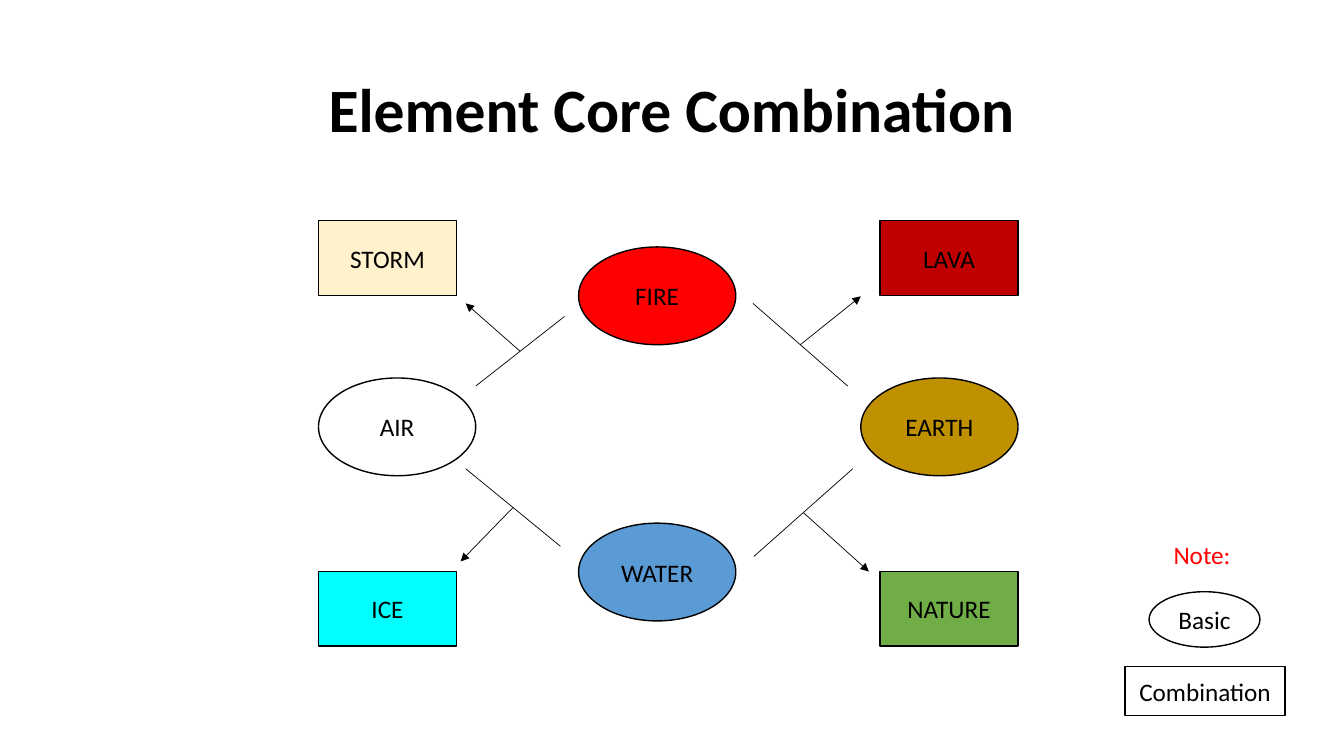
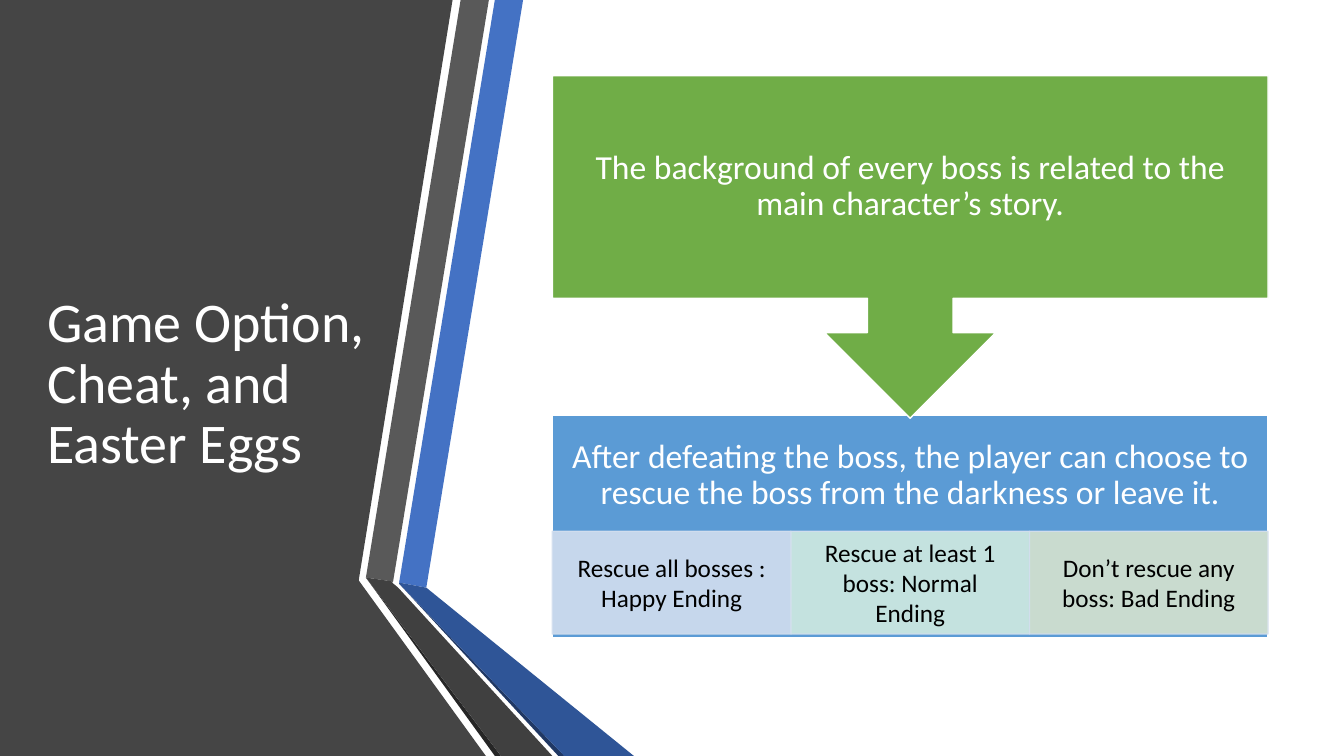
from dataclasses import dataclass
from typing import NamedTuple

from lxml import etree
from pptx import Presentation
from pptx import util as u
from pptx.dml.color import RGBColor
from pptx.enum import shapes, text
from pptx.oxml.ns import qn
from pptx.shapes.autoshape import Shape
from pptx.slide import Slide

# The slide is a grid of square cells, 80 columns by 45 rows.
COLUMNS, ROWS = 80, 45
CELL = u.Inches(7.5) / ROWS

ELLIPSE = shapes.MSO_SHAPE.OVAL
RECTANGLE = shapes.MSO_SHAPE.RECTANGLE
CALLOUT = shapes.MSO_SHAPE.DOWN_ARROW_CALLOUT


@dataclass(frozen=True)
class Theme:
    font: str = "Calibri"
    black: str = "000000"
    white: str = "FFFFFF"
    red: str = "FF0000"
    blue: str = "5B9BD5"
    green: str = "70AD47"
    charcoal: str = "454545"
    pale_blue: str = "D2DEEF"
    pale_teal: str = "D0EAE1"
    pale_green: str = "D5E3CF"
    diagram_title: float = 44
    side_title: float = 40
    statement: float = 24
    label: float = 18
    outline: float = 1
    thin_line: float = 0.5
    tight: float = 0.9


THEME = Theme()


class Point(NamedTuple):
    column: float
    row: float


class Box(NamedTuple):
    column: float
    row: float
    columns: float
    rows: float


class TextStyle(NamedTuple):
    size: float
    color: str = THEME.black
    bold: bool = False
    align: text.PP_ALIGN = text.PP_ALIGN.CENTER
    anchor: text.MSO_ANCHOR = text.MSO_ANCHOR.MIDDLE
    spacing: float = 1.0
    insets: tuple[float, float, float, float] = (0.1, 0.05, 0.1, 0.05)


class Node(NamedTuple):
    label: str
    kind: shapes.MSO_SHAPE
    box: Box
    fill: str = THEME.white


class Link(NamedTuple):
    """A line between two basic elements, and the tip of the arrow from its middle."""
    start: Point
    end: Point
    tip: Point


class Facet(NamedTuple):
    color: str
    corners: tuple[tuple[float, float], ...]


class Ending(NamedTuple):
    label: str
    fill: str


LABEL = TextStyle(THEME.label)
DIAGRAM_TITLE = TextStyle(THEME.diagram_title, bold=True, spacing=THEME.tight)
SIDE_TITLE = TextStyle(THEME.side_title, THEME.white, align=text.PP_ALIGN.LEFT,
                       spacing=THEME.tight)
NOTE = TextStyle(THEME.label, THEME.red, anchor=text.MSO_ANCHOR.TOP)
STATEMENT = TextStyle(THEME.statement, THEME.white, spacing=THEME.tight,
                      insets=(0.19, 0.19, 0.19, 0.19))
ENDING = TextStyle(THEME.label, insets=(0.14, 0.03, 0.14, 0.03))

LEFT, RIGHT = 18.96, 60.6
TOP, BOTTOM = 13.14, 34.02
BASIC_WIDTH, BASIC_HEIGHT = 9.36, 5.82
COMBINED_WIDTH, COMBINED_HEIGHT = 8.22, 4.44


def basic(label: str, column: float, row: float, fill: str) -> Node:
    return Node(label, ELLIPSE, Box(column, row, BASIC_WIDTH, BASIC_HEIGHT), fill)


def combined(label: str, column: float, row: float, fill: str) -> Node:
    return Node(label, RECTANGLE, Box(column, row, COMBINED_WIDTH, COMBINED_HEIGHT), fill)


NODES = (
    basic("FIRE", 34.44, 14.7, THEME.red),
    basic("AIR", LEFT, 22.5, THEME.white),
    basic("EARTH", RIGHT - BASIC_WIDTH, 22.5, "BF9000"),
    basic("WATER", 34.44, 31.14, THEME.blue),
    combined("STORM", LEFT, TOP, "FFF2CC"),
    combined("ICE", LEFT, BOTTOM, "00FFFF"),
    combined("NATURE", RIGHT - COMBINED_WIDTH, BOTTOM, THEME.green),
    combined("LAVA", RIGHT - COMBINED_WIDTH, TOP, "C00000"),
    Node("Basic", ELLIPSE, Box(68.4, 35.22, 6.6, 3.3)),
    Node("Combination", RECTANGLE, Box(66.96, 39.66, 9.54, 2.94)),
)

LINKS = (
    Link(Point(28.32, 22.98), Point(33.6, 18.84), Point(27.72, 18.06)),
    Link(Point(27.72, 27.9), Point(33.36, 32.52), Point(27.42, 33.42)),
    Link(Point(44.82, 18.06), Point(50.46, 22.98), Point(51.24, 17.64)),
    Link(Point(44.88, 33.12), Point(50.76, 27.9), Point(51.72, 34.02)),
)

FACETS = (
    Facet(THEME.charcoal, ((0, 0), (26.94, 0), (21.36, 34.5), (21.36, 34.56),
                           (28.92, ROWS), (0, ROWS))),
    Facet("4472C4", ((23.76, 34.68), (25.38, 34.98), (31.14, 0), (29.46, 0))),
    Facet("595959", ((29.1, 0), (27.42, 0), (21.78, 34.38), (23.4, 34.62))),
    Facet("262626", ((21.78, 34.38), (29.46, ROWS), (29.82, ROWS))),
    Facet("203864", ((23.76, 34.74), (33.24, ROWS), (33.6, ROWS))),
    Facet("2F5597", ((23.76, 34.74), (33.6, ROWS), (37.74, ROWS),
                     (25.38, 34.98), (23.76, 34.68))),
    Facet("404040", ((32.88, ROWS), (23.7, 34.98), (23.34, 34.68), (23.4, 34.62),
                     (21.78, 34.38), (29.82, ROWS))),
)

STORY = Box(32.88, 4.5, 42.6, 20.4)
CHOICE = Box(32.88, 24.72, 42.6, 13.26)
CHOICE_HEADING_ROWS = 7.14
ENDINGS_ROW, ENDINGS_HEIGHT = 31.62, 6.12
ENDINGS = (
    Ending("Rescue all bosses : Happy Ending", THEME.pale_blue),
    Ending("Rescue at least 1 boss: Normal Ending", THEME.pale_teal),
    Ending("Don’t rescue any boss: Bad Ending", THEME.pale_green),
)


def cells(*counts: float) -> list[u.Emu]:
    return [u.Emu(round(count * CELL)) for count in counts]


def write(shape: Shape, words: str, style: TextStyle) -> None:
    frame = shape.text_frame
    frame.word_wrap = True
    frame.vertical_anchor = style.anchor
    (frame.margin_left, frame.margin_top,
     frame.margin_right, frame.margin_bottom) = map(u.Inches, style.insets)
    paragraph = frame.paragraphs[0]
    paragraph.text = words
    paragraph.alignment = style.align
    paragraph.line_spacing = style.spacing
    font = paragraph.font
    font.name, font.size, font.bold = THEME.font, u.Pt(style.size), style.bold
    font.color.rgb = RGBColor.from_string(style.color)


def add_text(slide: Slide, box: Box, words: str, style: TextStyle) -> None:
    write(slide.shapes.add_textbox(*cells(*box)), words, style)


def add_panel(slide: Slide, kind: shapes.MSO_SHAPE, box: Box, fill: str, line: str,
              words: str, style: TextStyle) -> Shape:
    panel = slide.shapes.add_shape(kind, *cells(*box))
    panel.shadow.inherit = False
    panel.fill.solid()
    panel.fill.fore_color.rgb = RGBColor.from_string(fill)
    panel.line.color.rgb = RGBColor.from_string(line)
    panel.line.width = u.Pt(THEME.outline)
    write(panel, words, style)
    return panel


def set_opacity(shape: Shape, percent: int) -> None:
    """Apply one opacity to both the fill and the outline."""
    for color in shape._element.spPr.iter(qn("a:srgbClr")):
        etree.SubElement(color, qn("a:alpha"), val=str(percent * 1000))


def add_line(slide: Slide, start: Point, end: Point, arrow: bool = False) -> None:
    line = slide.shapes.add_connector(shapes.MSO_CONNECTOR.STRAIGHT, *cells(*start, *end))
    line.line.color.rgb = RGBColor.from_string(THEME.black)
    line.line.width = u.Pt(THEME.thin_line)
    if arrow:
        etree.SubElement(line.line._get_or_add_ln(), qn("a:tailEnd"), type="triangle")
    etree.SubElement(line._element.spPr, qn("a:effectLst"))


def add_facet(slide: Slide, facet: Facet) -> None:
    start, *others = [cells(*corner) for corner in facet.corners]
    builder = slide.shapes.build_freeform(*start)
    builder.add_line_segments(others, close=True)
    outline = builder.convert_to_shape()
    outline.shadow.inherit = False
    outline.fill.solid()
    outline.fill.fore_color.rgb = RGBColor.from_string(facet.color)
    outline.line.fill.background()


def draw_combinations(slide: Slide) -> None:
    add_text(slide, Box(5.5, 2.34, 69, 8.7), "Element Core Combination", DIAGRAM_TITLE)
    for node in NODES:
        add_panel(slide, node.kind, node.box, node.fill, THEME.black, node.label, LABEL)
    for start, end, tip in LINKS:
        middle = Point((start.column + end.column) / 2, (start.row + end.row) / 2)
        add_line(slide, start, end)
        add_line(slide, middle, tip, arrow=True)
    add_text(slide, Box(68.64, 31.8, 5.82, 2.4), "Note:", NOTE)


def draw_endings(slide: Slide) -> None:
    for facet in FACETS:
        add_facet(slide, facet)
    add_text(slide, Box(2.22, 6.18, 20.28, 33.48),
             "Game Option, Cheat, and Easter Eggs", SIDE_TITLE)
    choice = add_panel(
        slide, RECTANGLE, CHOICE, THEME.blue, THEME.white,
        "After defeating the boss, the player can choose to rescue the boss "
        "from the darkness or leave it.", STATEMENT)
    choice.text_frame.margin_bottom += cells(CHOICE.rows - CHOICE_HEADING_ROWS)[0]
    width = CHOICE.columns / len(ENDINGS)
    for index, ending in enumerate(ENDINGS):
        box = Box(CHOICE.column + index * width, ENDINGS_ROW, width, ENDINGS_HEIGHT)
        panel = add_panel(slide, RECTANGLE, box, ending.fill, THEME.pale_blue,
                          ending.label, ENDING)
        set_opacity(panel, 90)
    add_panel(slide, CALLOUT, STORY, THEME.green, THEME.white,
              "The background of every boss is related to the main character’s story.",
              STATEMENT)


def main() -> None:
    deck = Presentation()
    deck.slide_width, deck.slide_height = cells(COLUMNS, ROWS)
    blank = deck.slide_layouts[6]
    for draw in (draw_combinations, draw_endings):
        draw(deck.slides.add_slide(blank))
    deck.save("out.pptx")


if __name__ == "__main__":
    main()
